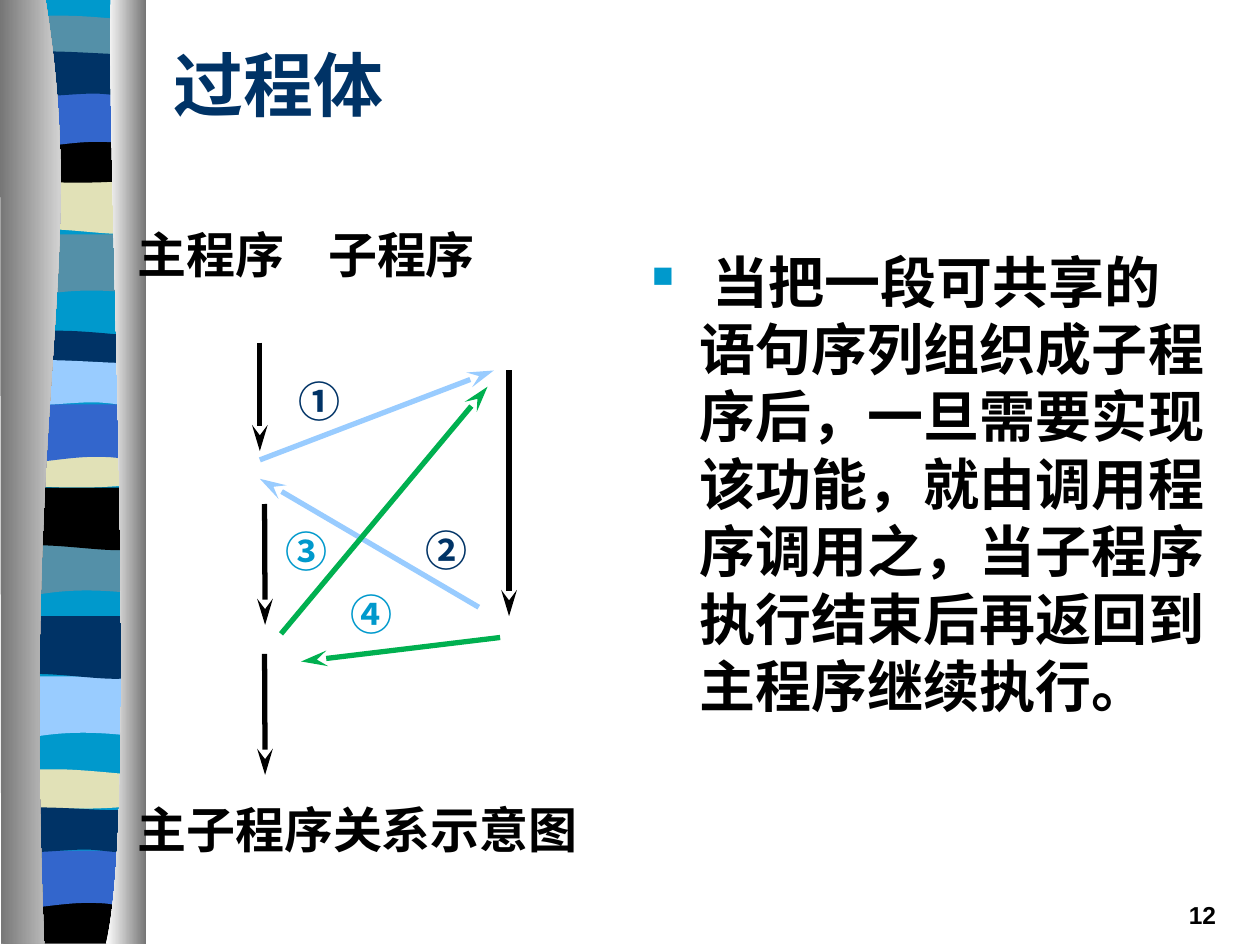
from lxml.etree import SubElement
from pptx import Presentation
from pptx.dml.color import RGBColor as Rgb
from pptx.enum.shapes import MSO_CONNECTOR as Connector
from pptx.enum.text import MSO_ANCHOR as Anchor, PP_ALIGN as Align
from pptx.oxml.ns import qn
from pptx.util import Pt

COLORS = {
    "black": "000000", "navy": "003366", "blue": "3366CC", "cyan": "0099CC",
    "sky": "99CCFF", "slate": "5490A8", "sand": "E1E1B7", "green": "00B050",
    "gray": "767676", "white": "FFFFFF",
}
SANS = "Noto Sans CJK SC"

OUTLINES = {
    "sweep": [(72, 0), (72, 34), (22, 28, 11.5, 39, 0, 34), (0, 0)],
    "swell": [(72, 0), (72, 34), (60, 39.6, 22, 30, 0, 34), (0, 0)],
    "ribbon": [(72, 0), (72, 17.3), (60, 20, 12, 20, 0, 17.3), (0, 0),
               (4, -3.6, 16, -3.2, 27, -3.2), (40, -3.2, 62, -0.7, 72, 0)],
    "dip": [(72, 0), (72, 24), (60, 27.4, 12, 27.4, 0, 24), (0, 0),
            (44, 3.6, 57, 0, 72, 0)],
    "arch": [(72, 0), (72, 34), (61, 30, 56, 30, 45, 30),
             (32, 30, 11, 34, 0, 34), (0, 0)],
    "wave": [(72, 0), (72, 22.5), (68, 26, 56, 22.5, 45, 22.5),
             (32, 22.5, 7, 26, 0, 22.5), (0, 0), (10, -3.6, 49, 0, 61, 0), (72, 0)],
    "foot": [(72, 0), (72, 26.6), (0, 26.6), (0, 0), (44, 3.6, 57, 0, 72, 0)],
    "base": [(72, 0), (72, 538), (0, 538), (0, 0)],
}
BANDS = [
    ("base", 8.6, -0.7, "cyan"),
    ("sweep", 8.6, 133.9, "slate"), ("swell", 10.8, 97.9, "sand"),
    ("ribbon", 10.8, 12.2, "slate"), ("dip", 8.6, 77.8, "black"),
    ("arch", 8.6, 51.1, "blue"), ("wave", 8.6, 31, "navy"),
    ("sweep", 5.8, 305.3, "slate"), ("swell", 7.9, 278.6, "black"),
    ("ribbon", 7.9, 192.2, "navy"), ("dip", 7.9, 252, "sand"),
    ("arch", 7.9, 231.1, "blue"), ("wave", 7.9, 207.4, "sky"),
    ("sweep", 3.6, 386.6, "sky"), ("swell", 6.5, 352.1, "navy"),
    ("ribbon", 5.8, 442.8, "sand"), ("foot", 5.8, 512.6, "black"),
    ("arch", 3.6, 486, "blue"), ("wave", 3.6, 463, "navy"),
]
LEFT_PANEL = [(25.9, -0.7), (51.1, 155.5, 12.2, 213.1, 25.2, 539.3),
              (0.7, 539.3), (0, -0.7)]
RIGHT_PANEL = [(63.4, -0.7), (60.5, 90, 79.9, 465.1, 60.5, 539.3),
               (83.5, 539.3), (83.5, 0)]
ARROWS = [
    (148.5, 195.8, 148.5, 257.8, "black"), (290.9, 211.7, 290.9, 352.1, "black"),
    (148.5, 262.8, 282.2, 211.7, "sky"), (151.2, 288, 151.5, 357.1, "black"),
    (151.2, 373.7, 151.5, 442.8, "black"), (273.6, 347, 148.5, 273.6, "sky"),
    (160.6, 362.2, 278.6, 221, "green"), (285.8, 364.3, 172.1, 378, "green"),
]
STEPS = [("①", 170.6, 214.6, "navy"), ("②", 243, 299.5, "navy"),
         ("③", 163, 300.2, "cyan"), ("④", 200.2, 336.2, "cyan")]


def rgb(name):
    return Rgb.from_string(COLORS[name])


def write(para, text, *, size, color="black", font=SANS, asian=SANS,
          align=Align.LEFT, spacing=None, before=None):
    para.alignment = align
    if spacing:
        para.line_spacing = spacing
    if before:
        para.space_before = Pt(before)
    span = para.add_run()
    span.text = text
    span.font.size, span.font.bold, span.font.name = Pt(size), True, font
    span.font.color.rgb = rgb(color)
    SubElement(span.font._element, qn("a:ea"), typeface=asian)


class Painter:
    """Draws styled elements on the current slide."""

    def __init__(self, page, line_width=3):
        self.page = page
        self.line_width = line_width

    def outline(self, outline, colors, x=0, y=0):
        points = [(Pt(x + px), Pt(y + py)) for part in outline
                  for px, py in zip(part[::2], part[1::2])]
        builder = self.page.shapes.build_freeform(*points[0])
        builder.add_line_segments(points[1:], close=True)
        shape = builder.convert_to_shape()
        self.bend(shape, outline)
        shape.shadow.inherit = False
        shape.line.fill.background()
        if len(colors) == 1:
            shape.fill.solid()
            shape.fill.fore_color.rgb = rgb(colors[0])
            return
        shape.fill.gradient()
        shape.fill.gradient_angle = 0
        for stop, color in zip(shape.fill.gradient_stops, colors):
            stop.color.rgb = rgb(color)

    def bend(self, shape, outline):
        route = next(shape._element.iter(qn("a:path")))
        segments = iter(route.findall(qn("a:lnTo")))
        for part in outline[1:]:
            segment = next(segments)
            if len(part) == 6:
                segment.tag = qn("a:cubicBezTo")
                for extra in (next(segments), next(segments)):
                    segment.append(extra[0])
                    route.remove(extra)

    def arrow(self, x1, y1, x2, y2, color):
        line = self.page.shapes.add_connector(
            Connector.STRAIGHT, Pt(x1), Pt(y1), Pt(x2), Pt(y2))
        line.line.width = Pt(self.line_width)
        line.line.color.rgb = rgb(color)
        SubElement(line.line._get_or_add_ln(), qn("a:tailEnd"), type="stealth", len="lg")
        SubElement(line._element.spPr, qn("a:effectLst"))

    def text(self, text, x, y, width, height, side=0, top=0, anchor=Anchor.TOP, **style):
        frame = self.page.shapes.add_textbox(Pt(x), Pt(y), Pt(width), Pt(height)).text_frame
        frame.margin_left = frame.margin_right = Pt(side)
        frame.margin_top, frame.margin_bottom = Pt(top), 0
        frame.word_wrap = True
        frame.vertical_anchor = anchor
        write(frame.paragraphs[0], text, **style)
        return frame

    def bullet(self, text, *place, indent, bullet_color, **style):
        frame = self.text(text, *place, **style)
        props = frame.paragraphs[0]._element.get_or_add_pPr()
        props.set("marL", str(Pt(indent)))
        props.set("indent", str(-Pt(indent)))
        SubElement(SubElement(props, qn("a:buClr")), qn("a:srgbClr"), val=COLORS[bullet_color])
        SubElement(props, qn("a:buSzPct"), val="53000")
        SubElement(props, qn("a:buChar"), char="■")

    def labels(self, heads, caption, x, y, width, height, tab, gap, **style):
        frame = self.text("\t".join(heads), x, y, width, height, **style)
        props = frame.paragraphs[0]._element.get_or_add_pPr()
        SubElement(SubElement(props, qn("a:tabLst")), qn("a:tab"), pos=str(Pt(tab)), algn="l")
        write(frame.add_paragraph(), caption, before=gap, **style)


def main():
    deck = Presentation()
    deck.slide_width, deck.slide_height = Pt(720), Pt(540)
    painter = Painter(deck.slides.add_slide(deck.slide_layouts[6]))

    for kind, x, y, color in BANDS:
        painter.outline(OUTLINES[kind], [color], x, y)
    painter.outline(LEFT_PANEL, ["gray", "white"])
    painter.outline(RIGHT_PANEL, ["white", "gray"])

    painter.text("12", 552.2, 509.8, 149.8, 18, side=7.2, top=4.2,
                 size=14, font="Arial", align=Align.RIGHT)
    painter.bullet(
        " 当把一段可共享的语句序列组织成子程序后，一旦需要实现该功能，"
        "就由调用程序调用之，当子程序执行结束后再返回到主程序继续执行。",
        365.4, 100, 333.6, 440, side=7.2, top=41.2, indent=27.4,
        bullet_color="cyan", size=32, spacing=Pt(38.5))
    painter.labels(["主程序", "子程序"], "主子程序关系示意图",
                   78.5, 128.2, 301, 428, tab=109, gap=294.9, size=28)
    for arrow in ARROWS:
        painter.arrow(*arrow)
    for text, x, y, color in STEPS:
        painter.text(text, x, y, 30, 35, size=24, color=color)
    painter.text("过程体", 92.2, 18, 612, 59.8, side=7.2, anchor=Anchor.MIDDLE,
                 size=40, color="navy", font="Times New Roman")

    deck.save("out.pptx")


if __name__ == "__main__":
    main()
